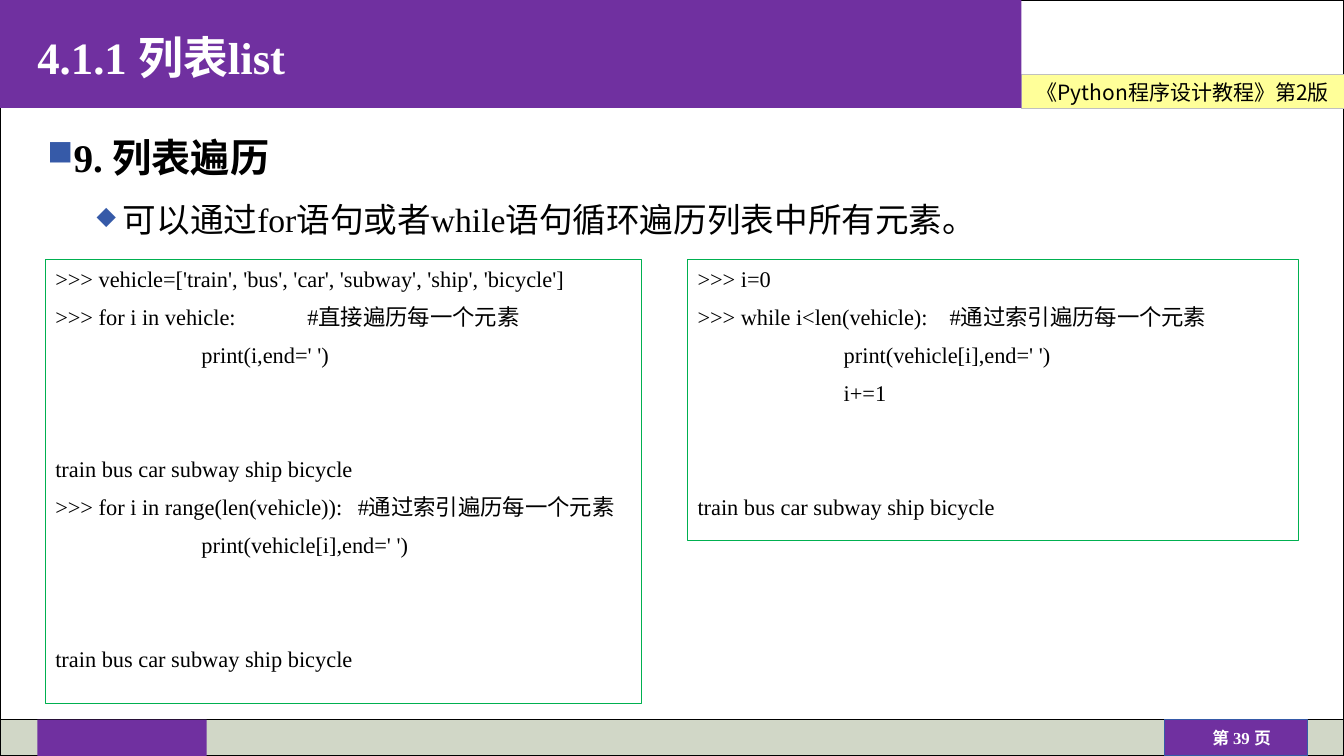
from dataclasses import dataclass

from lxml import etree
from pptx import Presentation
from pptx.dml.color import RGBColor
from pptx.enum.shapes import MSO_SHAPE
from pptx.enum.text import MSO_ANCHOR, PP_ALIGN
from pptx.oxml.ns import qn
from pptx.util import Pt

EMU_PER_PX = 9144  # 100 px to the inch
LATIN_FONT = "Times New Roman"
CJK_FONT = "Noto Sans CJK SC"
RECTANGLE = MSO_SHAPE.RECTANGLE
LEFT, CENTER = PP_ALIGN.LEFT, PP_ALIGN.CENTER
TOP, MIDDLE = MSO_ANCHOR.TOP, MSO_ANCHOR.MIDDLE

BLACK = RGBColor(0x00, 0x00, 0x00)
WHITE = RGBColor(0xFF, 0xFF, 0xFF)
PURPLE = RGBColor(0x70, 0x30, 0xA0)
BLUE = RGBColor(0x36, 0x5A, 0xA8)
SAGE = RGBColor(0xD1, 0xD7, 0xC7)
YELLOW = RGBColor(0xFF, 0xFF, 0x99)
SILVER = RGBColor(0xC0, 0xC0, 0xC0)
GREEN = RGBColor(0x00, 0xB0, 0x50)

CODE_LINE = Pt(20)
CODE_GAP = Pt(7.15)
OUTPUT_GAP = CODE_GAP + 2 * (CODE_LINE + CODE_GAP)
CODE_INDENT = 145


@dataclass(frozen=True)
class Box:
    left: int
    top: int
    width: int
    height: int

    def emu(self) -> list[int]:
        return [px * EMU_PER_PX for px in (self.left, self.top, self.width, self.height)]


@dataclass(frozen=True)
class Panel:
    box: Box
    fill: RGBColor | None = None
    line: RGBColor | None = None
    line_width: float = 1


@dataclass(frozen=True)
class TextStyle:
    size: float
    color: RGBColor = BLACK
    bold: bool = False
    latin: str = LATIN_FONT
    align: PP_ALIGN = LEFT


@dataclass(frozen=True)
class Bullet:
    mark: str
    percent: int
    indent: int


@dataclass(frozen=True)
class CodeLine:
    text: str
    indented: bool = False
    output: bool = False


BACKDROP = [
    Panel(Box(0, 0, 1333, 750), line=BLACK),
    Panel(Box(1182, 714, 151, 36), line=BLACK),
    Panel(Box(0, 714, 1333, 36), SAGE, BLACK),
    Panel(Box(1013, 74, 320, 34), YELLOW, SILVER, 0.5),
    Panel(Box(0, 0, 1013, 107), PURPLE),
    Panel(Box(1155, 714, 142, 36), PURPLE, BLUE),
    Panel(Box(37, 714, 168, 36), PURPLE),
]
POINTS = [
    ("9. 列表遍历", TextStyle(28, bold=True), Bullet("■", 90, 26)),
    ("可以通过for语句或者while语句循环遍历列表中所有元素。", TextStyle(24), Bullet("◆", 75, 75)),
]
RESULT = CodeLine("train bus car subway ship bicycle", output=True)
PRINT_ITEM = CodeLine("print(vehicle[i],end=' ')", indented=True)
LISTINGS = [
    (Box(45, 257, 591, 441), [
        CodeLine(">>> vehicle=['train', 'bus', 'car', 'subway', 'ship', 'bicycle']"),
        CodeLine(">>> for i in vehicle:\t\t#直接遍历每一个元素"),
        CodeLine("print(i,end=' ')", indented=True),
        RESULT,
        CodeLine(">>> for i in range(len(vehicle)):\t#通过索引遍历每一个元素"),
        PRINT_ITEM,
        RESULT,
    ]),
    (Box(682, 257, 606, 279), [
        CodeLine(">>> i=0"),
        CodeLine(">>> while i<len(vehicle):\t#通过索引遍历每一个元素"),
        PRINT_ITEM,
        CodeLine("i+=1", indented=True),
        RESULT,
    ]),
]


def add_panel(slide, panel: Panel):
    shape = slide.shapes.add_shape(RECTANGLE, *panel.box.emu())
    shape.shadow.inherit = False
    if panel.fill is None:
        shape.fill.background()
    else:
        shape.fill.solid()
        shape.fill.fore_color.rgb = panel.fill
    if panel.line is None:
        shape.line.fill.background()
    else:
        shape.line.color.rgb = panel.line
        shape.line.width = Pt(panel.line_width)
    return shape


def set_frame(frame, insets: tuple[int, int], anchor: MSO_ANCHOR = TOP) -> None:
    """Insets are horizontal and vertical, in px."""
    across, down = (px * EMU_PER_PX for px in insets)
    values = {"word_wrap": True, "vertical_anchor": anchor, "margin_left": across,
              "margin_right": across, "margin_top": down, "margin_bottom": down}
    for key, value in values.items():
        setattr(frame, key, value)


def write(paragraph, text: str, style: TextStyle, **spacing):
    paragraph.alignment = style.align
    for key, value in spacing.items():
        setattr(paragraph, key, value)
    run = paragraph.add_run()
    run.text = text
    font = {"size": Pt(style.size), "bold": style.bold, "name": style.latin}
    for key, value in font.items():
        setattr(run.font, key, value)
    run.font.color.rgb = style.color
    etree.SubElement(run.font._element, qn("a:ea"), typeface=CJK_FONT)


def add_label(slide, box: Box, text: str, style: TextStyle, insets: tuple[int, int],
              anchor: MSO_ANCHOR = TOP, **spacing) -> None:
    frame = slide.shapes.add_textbox(*box.emu()).text_frame
    set_frame(frame, insets, anchor)
    write(frame.paragraphs[0], text, style, **spacing)


def set_bullet(paragraph, bullet: Bullet) -> None:
    properties = paragraph._p.get_or_add_pPr()
    properties.set("marL", str(bullet.indent * EMU_PER_PX))
    properties.set("indent", str(-26 * EMU_PER_PX))
    color = etree.SubElement(properties, qn("a:buClr"))
    etree.SubElement(color, qn("a:srgbClr"), val=str(BLUE))
    etree.SubElement(properties, qn("a:buSzPct"), val=str(bullet.percent * 1000))
    etree.SubElement(properties, qn("a:buChar"), char=bullet.mark)


def next_paragraph(frame, index: int):
    return frame.add_paragraph() if index else frame.paragraphs[0]


def add_points(slide) -> None:
    frame = slide.shapes.add_textbox(*Box(37, 123, 1260, 126).emu()).text_frame
    set_frame(frame, (10, 5))
    for index, (text, style, bullet) in enumerate(POINTS):
        paragraph = next_paragraph(frame, index)
        write(paragraph, text, style, line_spacing=1.1, space_before=Pt(5), space_after=Pt(5))
        set_bullet(paragraph, bullet)


def add_listing(slide, box: Box, lines: list[CodeLine]) -> None:
    frame = add_panel(slide, Panel(box, line=GREEN, line_width=0.75)).text_frame
    set_frame(frame, (10, 5))
    for index, line in enumerate(lines):
        paragraph = next_paragraph(frame, index)
        gap = OUTPUT_GAP if line.output else CODE_GAP if index else Pt(0)
        write(paragraph, line.text, TextStyle(16), line_spacing=CODE_LINE, space_before=gap)
        if line.indented:
            paragraph._p.get_or_add_pPr().set("marL", str(CODE_INDENT * EMU_PER_PX))


def main() -> None:
    deck = Presentation()
    deck.slide_width, deck.slide_height = 1333 * EMU_PER_PX, 750 * EMU_PER_PX
    slide = deck.slides.add_slide(deck.slide_layouts[6])
    for panel in BACKDROP:
        add_panel(slide, panel)
    add_label(slide, Box(1013, 74, 320, 34), "《Python程序设计教程》第2版",
              TextStyle(15, latin=CJK_FONT, align=CENTER), (5, 0), MIDDLE)
    add_label(slide, Box(1166, 721, 131, 22), "第 39 页",
              TextStyle(12, WHITE, bold=True, align=CENTER), (6, 1), MIDDLE)
    add_label(slide, Box(37, 0, 977, 107), "4.1.1 列表list",
              TextStyle(32, WHITE, bold=True), (0, 0), MIDDLE, line_spacing=1.1)
    add_points(slide)
    for box, lines in LISTINGS:
        add_listing(slide, box, lines)
    deck.save("out.pptx")


if __name__ == "__main__":
    main()
